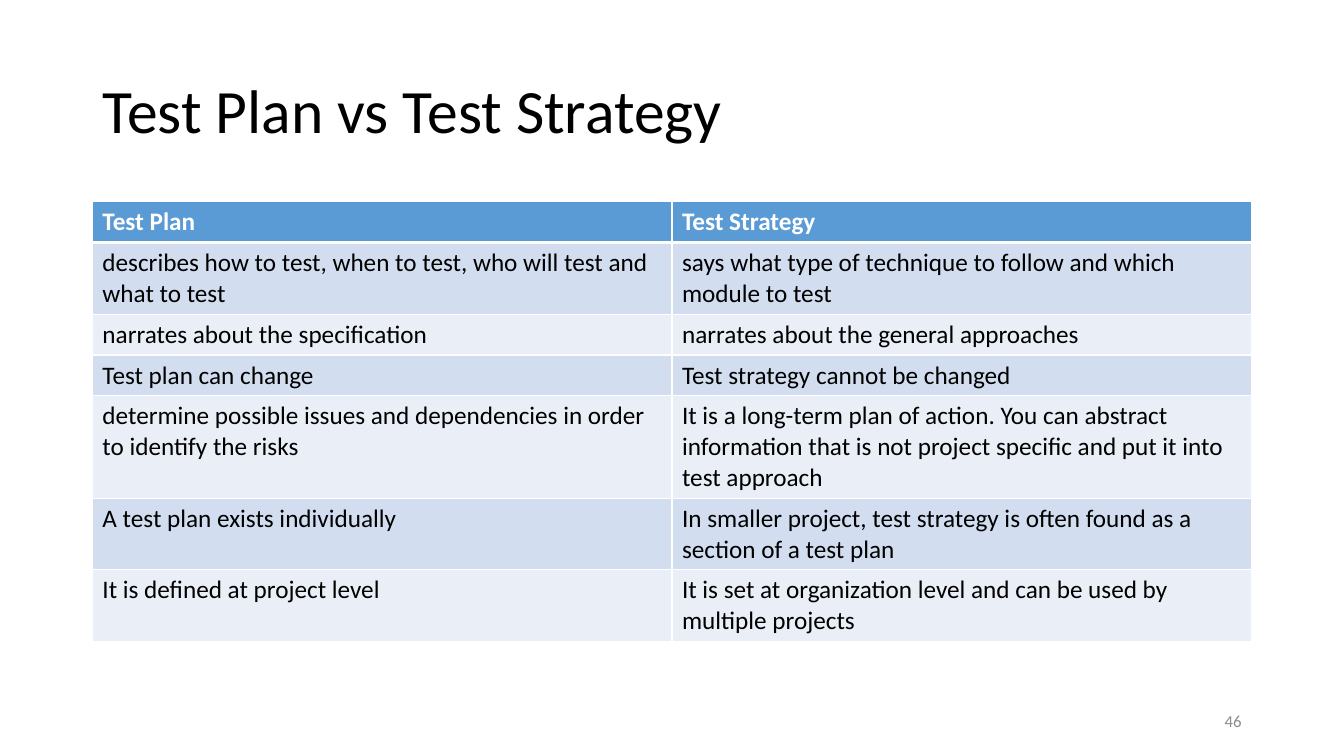
from lxml.etree import SubElement
from pptx import Presentation
from pptx.dml.color import RGBColor
from pptx.enum.text import MSO_ANCHOR, MSO_AUTO_SIZE, PP_ALIGN
from pptx.oxml.ns import qn
from pptx.util import Inches, Pt

COMPARISON = [
    ("Test Plan", "Test Strategy"),
    ("describes how to test, when to test, who will test and what to test",
     "says what type of technique to follow and which module to test"),
    ("narrates about the specification", "narrates about the general approaches"),
    ("Test plan can change", "Test strategy cannot be changed"),
    ("determine possible issues and dependencies in order to identify the risks",
     "It is a long-term plan of action. You can abstract information that is "
     "not project specific and put it into test approach"),
    ("A test plan exists individually",
     "In smaller project, test strategy is often found as a section of a test plan"),
    ("It is defined at project level",
     "It is set at organization level and can be used by multiple projects"),
]


def color(hex_string):
    """Turn a hex string into a colour."""
    return RGBColor.from_string(hex_string)


class ComparisonSlide:
    """Style and current slide, measured on a grid of 160 columns by 150 rows."""

    font = "Calibri"
    black, white, gray = "000000", "FFFFFF", "8C8C8C"
    header, bands = "5B9BD5", ("EAEFF7", "D2DEEF")

    def __init__(self, deck):
        """Add a title-only page to the deck."""
        self.column = deck.slide_width / 160
        self.row = deck.slide_height / 150
        self.page = deck.slides.add_slide(deck.slide_layouts[5])

    def area(self, left, top, width, height):
        """Convert grid units to slide lengths."""
        return (round(left * self.column), round(top * self.row),
                round(width * self.column), round(height * self.row))

    def add_text(self, frame, text, size, ink, bold=False, align=PP_ALIGN.LEFT):
        """Put one run in the first paragraph of a frame."""
        para = frame.paragraphs[0]
        para.alignment = align
        span = para.add_run()
        span.text = text
        span.font.name, span.font.size, span.font.bold = self.font, Pt(size), bold
        span.font.color.rgb = color(ink)
        return para

    def title(self, text, *place):
        """Fill and move the title placeholder."""
        box = self.page.shapes.title
        box.left, box.top, box.width, box.height = self.area(*place)
        frame = box.text_frame
        frame.auto_size = MSO_AUTO_SIZE.NONE
        frame.vertical_anchor = MSO_ANCHOR.MIDDLE
        self.add_text(frame, text, 44, self.black).line_spacing = 0.9

    def number(self, text, *place):
        """Add the right-aligned slide number."""
        frame = self.page.shapes.add_textbox(*self.area(*place)).text_frame
        frame.word_wrap = True
        frame.vertical_anchor = MSO_ANCHOR.MIDDLE
        self.add_text(frame, text, 12, self.gray, align=PP_ALIGN.RIGHT)

    def border(self, cell, widths):
        """Draw white cell borders with a width in points for each side."""
        properties = cell._tc.get_or_add_tcPr()
        for side, width in widths.items():
            line = SubElement(properties, qn(f"a:ln{side}"), w=str(Pt(width)))
            fill = SubElement(line, qn("a:solidFill"))
            SubElement(fill, qn("a:srgbClr"), val=self.white)

    def table(self, rows, *place):
        """Add a table with a header row and alternating bands."""
        table = self.page.shapes.add_table(
            len(rows), len(rows[0]), *self.area(*place)).table
        for index, texts in enumerate(rows):
            is_header = index == 0
            fill = self.header if is_header else self.bands[index % 2]
            ink = self.white if is_header else self.black
            widths = {"L": 1, "R": 1, "T": 3 if index == 1 else 1,
                      "B": 3 if is_header else 1}
            for cell, text in zip(table.rows[index].cells, texts):
                self.border(cell, widths)
                cell.fill.solid()
                cell.fill.fore_color.rgb = color(fill)
                self.add_text(cell.text_frame, text, 18, ink, is_header)


def main():
    """Build and save the deck."""
    deck = Presentation()
    deck.slide_width, deck.slide_height = Inches(13.33), Inches(7.5)
    slide = ComparisonSlide(deck)
    slide.title("Test Plan vs Test Strategy", 11, 8, 138, 29)
    slide.table(COMPARISON, 11, 40, 138, 8.1 * len(COMPARISON))
    slide.number("46", 113, 139, 36, 8)
    deck.save("out.pptx")


if __name__ == "__main__":
    main()
